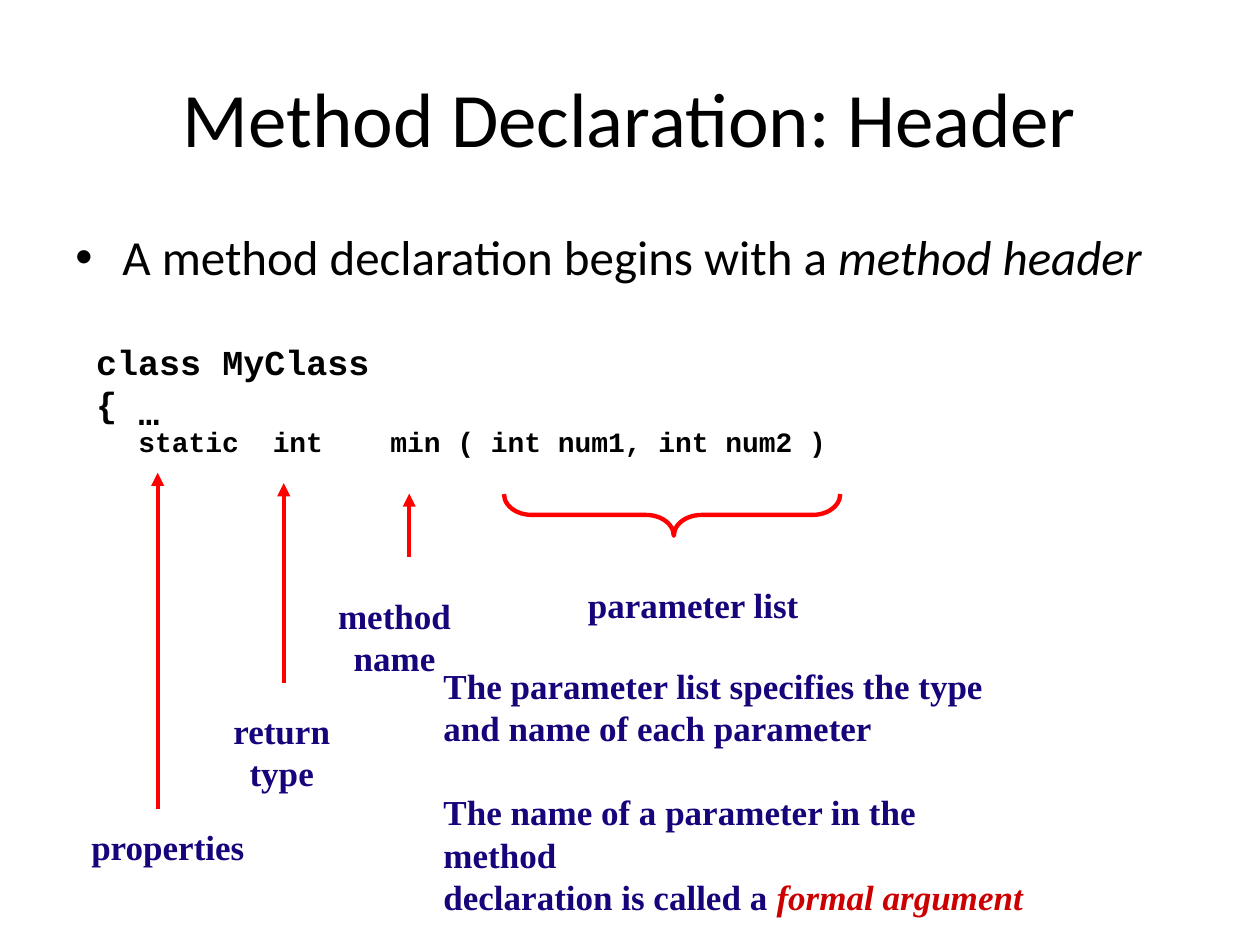
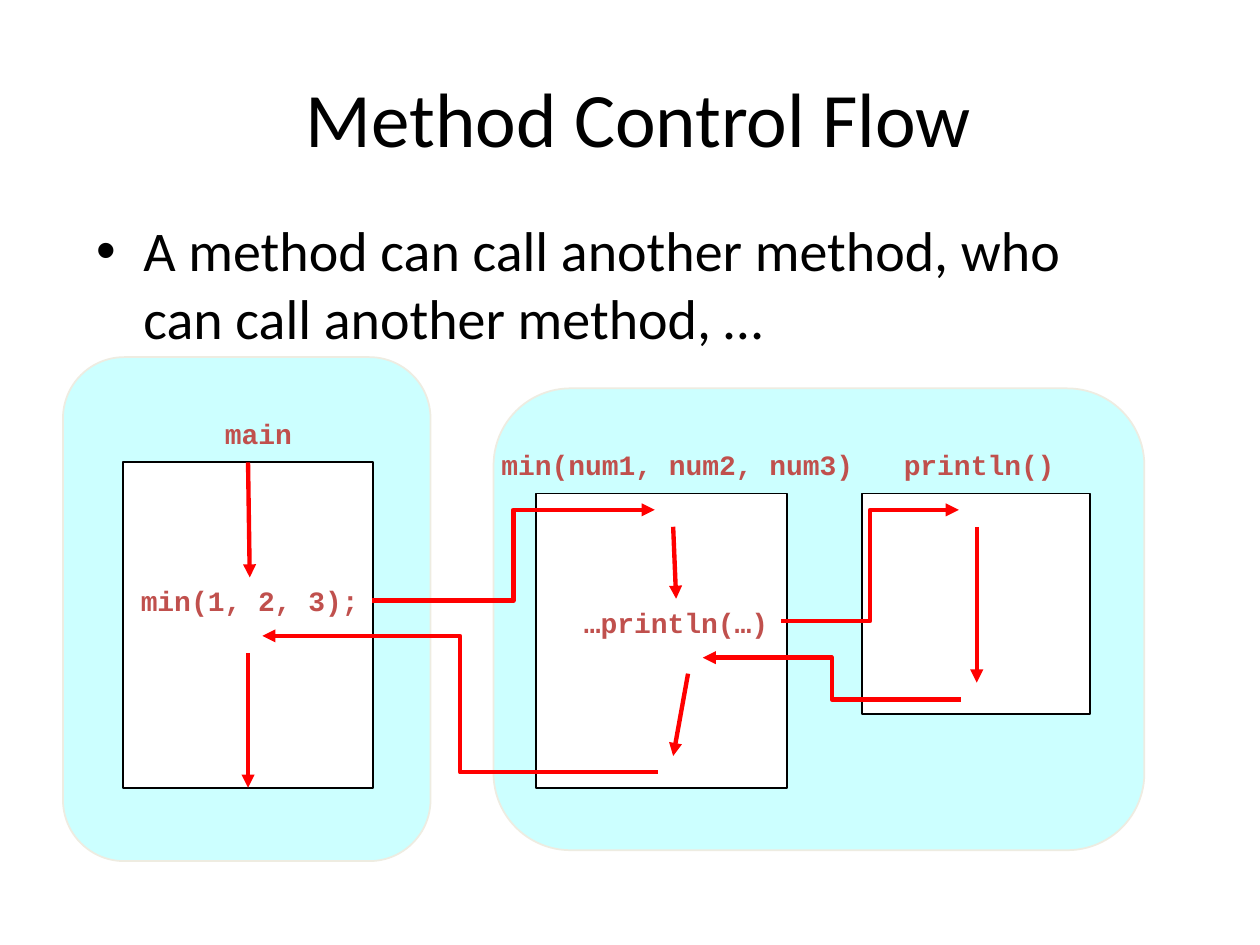
from lxml.etree import SubElement
from pptx import Presentation
from pptx.dml.color import RGBColor
from pptx.enum.shapes import MSO_CONNECTOR as Link, MSO_SHAPE as Shape
from pptx.enum.text import MSO_ANCHOR as Anchor, PP_ALIGN as Align
from pptx.oxml.ns import qn
from pptx.util import Cm, Pt

BLACK, WHITE, RED = "000000", "FFFFFF", "FF0000"
NAVY, CRIMSON, BRICK = "15047A", "CC0000", "C0504D"
AQUA, IVORY = "CCFFFF", "EEECE1"

BODY = dict(font="Calibri", color=BLACK)
CODE = dict(font="Courier New", size=20, color=BLACK, bold=True)
NOTE = dict(font="Times New Roman", size=20, color=NAVY, bold=True)
LABEL = dict(font="Courier New", size=16, color=BRICK, bold=True)

# All places are in centimetres: left, top, width, height.
# A paragraph is a list of runs; a run is (text, changes to the style).
HEADER_TITLE = "Method Declaration: Header"
HEADER_BULLET = [("A method declaration begins with a ", {}),
                 ("method header", dict(italic=True))]
CLASS_CODE = [
    [("class MyClass", {})],
    [("{", {})],
    [("\tstatic\tint\tmin ( int num1, int num2 )", dict(size=16))],
]
CODE_TABS = (0.85, 3.56, 5.93)
PART_NAMES = [
    ((6.56, 11.85, 2.79, 1.96), ["method", "name"]),
    ((4.45, 14.18, 2.46, 1.96), ["return", "type"]),
    ((9.53, 11.64, 8.89, 1.09), ["parameter list"]),
    ((1.48, 16.51, 3.81, 1.09), ["properties"]),
]
PART_ARROWS = [(8.25, 11.22, 9.95), (5.72, 13.76, 9.74), (3.18, 16.3, 9.53)]
BRACE = (13.13, 6.99, 0.84, 6.78)
PARAMETER_NOTES = [
    [("The parameter list specifies the type", {})],
    [("and name of each parameter", {})],
    [("The name of a parameter in the method", {})],
    [("declaration is called a ", {}),
     ("formal argument", dict(color=CRIMSON, italic=True))],
]

FLOW_TITLE = " Method Control Flow"
FLOW_BULLET = [("A method can call another method, who can call another "
                "method, …", {})]
CLASS_PANELS = [(9.95, 7.83, 13.12, 9.31), (1.27, 7.2, 7.41, 10.16)]
METHOD_BOXES = {
    "main": (2.48, 9.32, 5.04, 6.56),
    "min": (10.8, 9.95, 5.06, 5.93),
    "println": (17.38, 9.95, 4.6, 4.45),
}
FLOW_LABELS = {
    "main": (4.27, 8.26, 1.88),
    "min(1, 2, 3);": (2.57, 11.64, 4.93),
    "min(num1, num2, num3)": (9.83, 8.89, 7.65),
    "…println(…)": (11.51, 12.07, 4.24),
    "println()": (17.96, 8.89, 3.56),
}
LABEL_HEIGHT = 0.94
# Each end is a point, or (name of a box or label, side).
STEPS = [
    (("main box", 0), ("min(1, 2, 3);", 0)),
    ((5, 13.16), ("main box", 2)),
    ((13.57, 10.62), ("…println(…)", 0)),
    ((13.87, 13.58), (13.57, 15.24)),
    ((19.69, 10.62), (19.69, 13.76)),
]
CALLS_AND_RETURNS = [
    ((7.5, 12.11), (13.2, 10.28)),
    ((15.75, 12.52), (19.33, 10.28)),
    ((19.37, 14.1), (14.17, 13.26)),
    ((13.26, 15.57), (5.29, 12.82)),
]


def rgb(color):
    return RGBColor.from_string(color)


def cm(lengths):
    return [Cm(v) for v in lengths]


def add_runs(p, runs, style):
    for text, changes in runs:
        look = {**style, **changes}
        r = p.add_run()
        r.text = text
        r.font.name = look["font"]
        r.font.size = Pt(look["size"])
        r.font.color.rgb = rgb(look["color"])
        r.font.bold = look.get("bold", False)
        r.font.italic = look.get("italic", False)


def add_text(slide, place, paragraphs, style, align=Align.LEFT, wrap=True,
             anchor=Anchor.TOP):
    sp = slide.shapes.add_textbox(*cm(place))
    tf = sp.text_frame
    tf.word_wrap = wrap
    tf.vertical_anchor = anchor
    for i, runs in enumerate(paragraphs):
        p = tf.add_paragraph() if i else tf.paragraphs[0]
        p.alignment = align
        add_runs(p, runs, style)
    return sp


def add_bullet(slide, place, runs, size):
    sp = add_text(slide, place, [runs], dict(BODY, size=size))
    p = sp.text_frame.paragraphs[0]
    p.space_before = Pt(size * 0.2)
    pPr = p._p.get_or_add_pPr()
    pPr.set("marL", str(Cm(0.95)))
    pPr.set("indent", str(-Cm(0.95)))
    SubElement(pPr, qn("a:buFont"), typeface="Arial")
    SubElement(pPr, qn("a:buChar"), char="•")


def set_tabs(p, stops):
    tabs = SubElement(p._p.get_or_add_pPr(), qn("a:tabLst"))
    for stop in stops:
        SubElement(tabs, qn("a:tab"), pos=str(Cm(stop)), algn="l")


def add_shape(slide, kind, place, fill, line, width=1):
    sp = slide.shapes.add_shape(kind, *cm(place))
    sp.shadow.inherit = False
    if fill:
        sp.fill.solid()
        sp.fill.fore_color.rgb = rgb(fill)
    else:
        sp.fill.background()
    sp.line.color.rgb = rgb(line)
    sp.line.width = Pt(width)
    return sp


def add_arrow(slide, start, end, kind=Link.STRAIGHT):
    c = slide.shapes.add_connector(kind, *cm(start), *cm(end))
    c.line.color.rgb = rgb(RED)
    c.line.width = Pt(2.5)
    SubElement(c.line._get_or_add_ln(), qn("a:tailEnd"), type="triangle")
    SubElement(c._element.spPr, qn("a:effectLst"))
    return c


def add_titled_slide(prs, title):
    slide = prs.slides.add_slide(prs.slide_layouts[5])
    sp = slide.shapes.title
    sp.left, sp.top, sp.width, sp.height = cm((1.27, 0.76, 22.86, 3.18))
    tf = sp.text_frame
    tf.vertical_anchor = Anchor.MIDDLE
    p = tf.paragraphs[0]
    p.alignment = Align.CENTER
    add_runs(p, [(title, {})], dict(BODY, size=44))
    return slide


def build_header_slide(prs):
    slide = add_titled_slide(prs, HEADER_TITLE)
    add_bullet(slide, (1.27, 4.45, 22.86, 1.45), HEADER_BULLET, 28)

    code = add_text(slide, (1.69, 6.73, 22.86, 2.8), CLASS_CODE, CODE)
    set_tabs(code.text_frame.paragraphs[-1], CODE_TABS)
    add_text(slide, (2.54, 7.75, 0.94, 1.09), [[("…", {})]], CODE, wrap=False)

    for place, lines in PART_NAMES:
        add_text(slide, place, [[(line, {})] for line in lines], NOTE,
                 Align.CENTER, wrap=False)
    for x, bottom, top in PART_ARROWS:
        add_arrow(slide, (x, bottom), (x, top))

    brace = add_shape(slide, Shape.LEFT_BRACE, BRACE, None, RED, 2.5)
    brace.rotation = 270
    brace.adjustments[0] = 0.667
    brace.adjustments[1] = 0.505

    notes = add_text(slide, (8.69, 13.28, 12.4, 4.5), PARAMETER_NOTES, NOTE)
    notes.text_frame.paragraphs[2].space_before = Pt(24)


def build_flow_slide(prs):
    slide = add_titled_slide(prs, FLOW_TITLE)
    add_bullet(slide, (1.69, 4.23, 21.59, 12.9), FLOW_BULLET, 32)

    for place in CLASS_PANELS:
        add_shape(slide, Shape.FLOWCHART_ALTERNATE_PROCESS, place, AQUA, IVORY)
    targets = {}
    for name, place in METHOD_BOXES.items():
        targets[f"{name} box"] = add_shape(slide, Shape.RECTANGLE, place,
                                           WHITE, BLACK)
    for text, place in FLOW_LABELS.items():
        targets[text] = add_text(slide, (*place, LABEL_HEIGHT), [[(text, {})]],
                                 LABEL, Align.CENTER, False, Anchor.MIDDLE)

    for start, end in STEPS:
        joined = [e[0] in targets for e in (start, end)]
        c = add_arrow(slide, (0, 0) if joined[0] else start,
                      (0, 0) if joined[1] else end)
        if joined[0]:
            c.begin_connect(targets[start[0]], start[1])
        if joined[1]:
            c.end_connect(targets[end[0]], end[1])
    for start, end in CALLS_AND_RETURNS:
        add_arrow(slide, start, end, Link.ELBOW)


def main():
    prs = Presentation()
    prs.slide_width, prs.slide_height = cm((25.4, 19.05))
    build_header_slide(prs)
    build_flow_slide(prs)
    prs.save("out.pptx")


if __name__ == "__main__":
    main()
